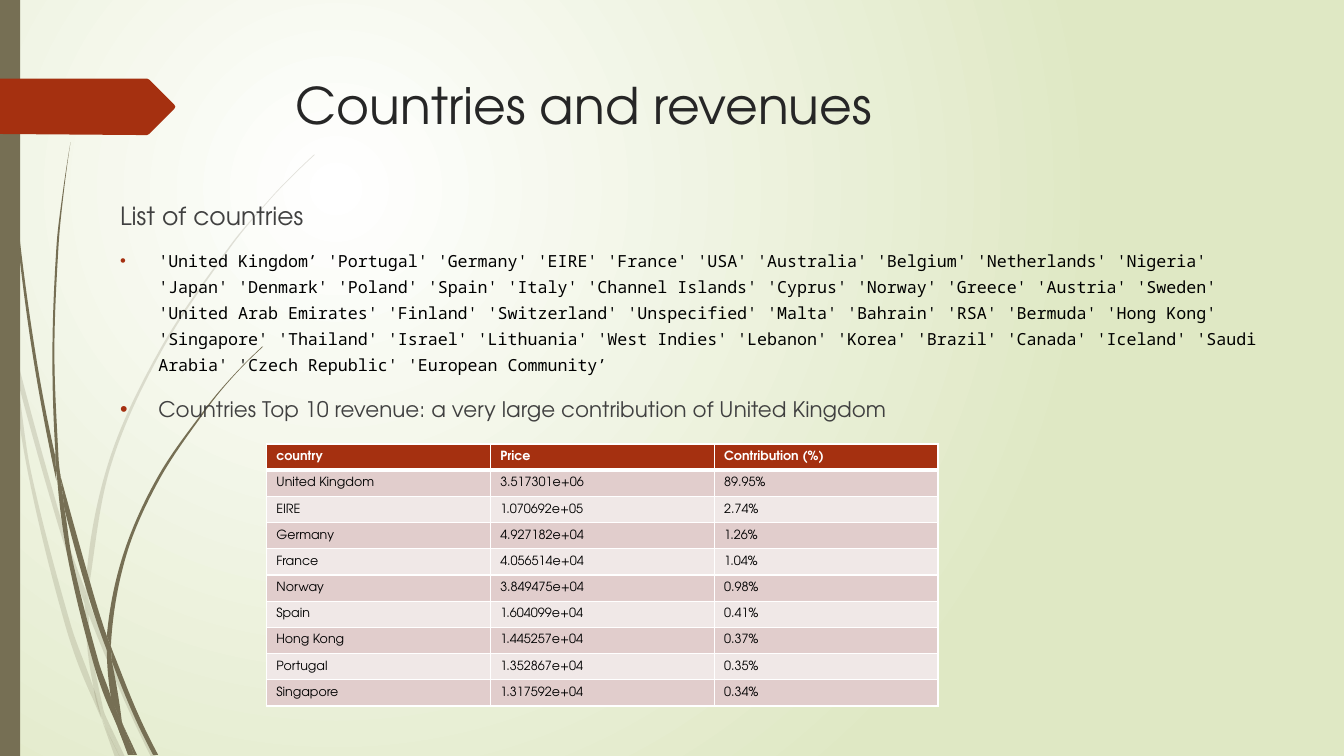
import math
import lxml.etree
import pptx
import pptx.dml.color
import pptx.enum.shapes
import pptx.enum.text
import pptx.oxml.ns
import pptx.util

# Content
TITLE = "Countries and revenues"
LIST_HEADING = "List of countries"
COUNTRIES = (
    "'United Kingdom’ 'Portugal' 'Germany' 'EIRE' 'France' 'USA' 'Australia' 'Belgium' "
    "'Netherlands' 'Nigeria' 'Japan' 'Denmark' 'Poland' 'Spain' 'Italy' 'Channel Islands' "
    "'Cyprus' 'Norway' 'Greece' 'Austria' 'Sweden' 'United Arab Emirates' 'Finland' "
    "'Switzerland' 'Unspecified' 'Malta' 'Bahrain' 'RSA' 'Bermuda' 'Hong Kong' 'Singapore' "
    "'Thailand' 'Israel' 'Lithuania' 'West Indies' 'Lebanon' 'Korea' 'Brazil' 'Canada' "
    "'Iceland' 'Saudi Arabia' 'Czech Republic' 'European Community’"
)
REVENUE_HEADING = "Countries Top 10 revenue: a very large contribution of United Kingdom"
REVENUES = [
    ("country", "Price", "Contribution (%)"),
    ("United Kingdom", "3.517301e+06", "89.95%"),
    ("EIRE", "1.070692e+05", "2.74%"),
    ("Germany", "4.927182e+04", "1.26%"),
    ("France", "4.056514e+04", "1.04%"),
    ("Norway", "3.849475e+04", "0.98%"),
    ("Spain", "1.604099e+04", "0.41%"),
    ("Hong Kong", "1.445257e+04", "0.37%"),
    ("Portugal", "1.352867e+04", "0.35%"),
    ("Singapore", "1.317592e+04", "0.34%"),
]

SANS, MONO = "TeX Gyre Adventor", "Noto Sans Mono"
WHITE, BLACK, RED, BROWN = "FFFFFF", "000000", "A53010", "766F54"
BANDS = ("F0E8E7", "E1CDCC")
# text, size, font, colour, bulleted
BODY = [
    (LIST_HEADING, 17.9, SANS, "404040", False),
    (COUNTRIES, 11.9, MONO, BLACK, True),
    (REVENUE_HEADING, 15.3, SANS, "404040", True),
]

# Grass blades: the two edges of each, in inches
PALE_BLADES = [
    ([(0.11, 3.5), (0.09, 3.22), (0, 2.82)], [(0, 2.99), (0.1, 3.44)]),
    ([(0.14, 3.45), (0.62, 5.2), (0.85, 5.86)], [(0.84, 5.99), (0.58, 5.22), (0.17, 3.76)]),
    ([(0.88, 5.96), (0.92, 6.07), (1.27, 6.92), (1.55, 7.51)],
     [(1.5, 7.51), (1.23, 6.94), (0.88, 6.1)]),
    ([(1.05, 7.11), (1.24, 7.51)], [(1.19, 7.51)]),
    ([(0.11, 3.5), (0.17, 3.76), (0.31, 4.69), (0.7, 6.19), (0.93, 6.83), (1.01, 7.14)],
     [(0.92, 6.93), (0.65, 6.21), (0.28, 4.7), (0.11, 3.5)]),
    ([(0.88, 6.1), (0.91, 6.46), (1.03, 7.06), (1.05, 7.11)],
     [(0.96, 6.92), (0.93, 6.83), (0.87, 6.46), (0.84, 5.99)]),
    ([(0.88, 5.96), (0.88, 5.84), (1.1, 4.62), (1.6, 3.49), (2.29, 2.45), (2.68, 1.98),
      (2.9, 1.75), (3.12, 1.54)],
     [(3.12, 1.53), (2.89, 1.75), (2.68, 1.97), (2.28, 2.44), (1.58, 3.48), (1.07, 4.61),
      (0.85, 5.84)]),
    ([(1.01, 7.14), (1.14, 7.51)], [(1.19, 7.51)]),
    ([(0.88, 6.1), (0.88, 5.96)], [(0.85, 5.86), (0.84, 5.99)]),
    ([(0.93, 6.83), (0.99, 7.07), (1.19, 7.51)], [(1.05, 7.11), (0.96, 6.92)]),
]
DARK_BLADES = [
    ([(0.03, 0), (0.04, 0.48), (0.07, 1.1), (0.17, 2.33), (0.33, 3.55), (0.56, 4.77)],
     [(0.55, 4.53), (0.36, 3.55), (0.19, 2.32), (0.08, 1.09), (0.05, 0.48), (0.04, 0)]),
    ([(0.64, 5.05), (0.88, 5.92), (1.06, 6.45)], [(1.06, 6.31), (0.93, 5.9), (0.6, 4.72)]),
    ([(1.1, 6.41), (1.13, 6.49), (1.36, 7.06), (1.57, 7.49)],
     [(1.52, 7.49), (1.32, 7.08), (1.11, 6.56)]),
    ([(0.57, 4.77), (0.64, 5.05), (0.72, 5.56), (0.98, 6.57), (1.1, 6.91), (1.17, 7.22)],
     [(1.11, 7.08), (0.93, 6.59), (0.68, 5.57), (0.57, 4.77)]),
    ([(0.6, 4.72), (0.58, 4.53), (0.54, 3.49), (0.58, 2.45), (0.63, 1.93), (0.7, 1.41)],
     [(0.7, 1.41), (0.62, 1.93), (0.56, 2.45), (0.52, 3.49), (0.55, 4.49), (0.6, 4.72)]),
    ([(1.22, 7.19), (1.33, 7.49)], [(1.36, 7.49)]),
    ([(0.55, 4.49), (0.57, 4.77), (0.64, 5.05)], [(0.6, 4.72)]),
    ([(1.1, 6.41), (1.25, 5.52), (1.58, 4.76), (2.05, 4.06), (2.31, 3.74), (2.61, 3.44)],
     [(2.6, 3.44), (2.31, 3.73), (2.04, 4.05), (1.56, 4.74), (1.22, 5.51), (1.06, 6.31)]),
    ([(1.17, 7.22), (1.27, 7.49)], [(1.31, 7.49)]),
    ([(1.06, 6.45), (1.1, 6.91), (1.16, 7.06), (1.22, 7.19)],
     [(1.21, 7.16), (1.11, 6.56), (1.06, 6.45)]),
    ([(1.06, 6.31), (1.06, 6.45)], [(1.11, 6.56), (1.1, 6.41)]),
    ([(1.1, 6.91), (1.17, 7.22), (1.3, 7.49)], [(1.33, 7.49), (1.22, 7.19), (1.16, 7.06)]),
]
TITLE_ARROW = [(0, 0.78), (1.46, 0.78), (1.48, 0.79), (1.73, 1.04), (1.74, 1.06),
               (1.73, 1.08), (1.48, 1.33), (1.46, 1.34), (1.36, 1.34), (0, 1.33)]

Cm, Pt, qn = pptx.util.Cm, pptx.util.Pt, pptx.oxml.ns.qn


def color(value):
    return pptx.dml.color.RGBColor.from_string(value)


def child(parent, tag, **attributes):
    return lxml.etree.SubElement(parent, qn(tag), attributes)


def paint(shape, fill):
    shape.shadow.inherit = False
    shape.fill.solid()
    shape.fill.fore_color.rgb = color(fill)
    shape.line.fill.background()


def curve_handles(anchors):
    """Two Bezier handles for each span of a smooth curve through the anchors."""
    spans = [math.dist(a, b) for a, b in zip(anchors, anchors[1:])]
    if len(spans) < 2:
        return [None] * len(spans)
    chords = [[(b - a) / span for a, b in zip(start, end)]
              for start, end, span in zip(anchors, anchors[1:], spans)]
    tangents = [[(a * m + b * n) / (m + n) for a, b in zip(first, second)]
                for first, second, m, n in zip(chords, chords[1:], spans, spans[1:])]
    head = [2 * a - b for a, b in zip(chords[0], tangents[0])]
    tail = [2 * a - b for a, b in zip(chords[-1], tangents[-1])]
    tangents = [head, *tangents, tail]
    return [([a + m * span / 3 for a, m in zip(anchors[i], tangents[i])],
             [b - n * span / 3 for b, n in zip(anchors[i + 1], tangents[i + 1])])
            for i, span in enumerate(spans)]


def add_outline(shapes, points, fill):
    points = [(Cm(x * 2.54), Cm(y * 2.54)) for x, y in points]
    builder = shapes.build_freeform(*points[0])
    builder.add_line_segments(points[1:], close=True)
    shape = builder.convert_to_shape()
    paint(shape, fill)
    return shape


def add_blade(shapes, first_edge, second_edge, opacity):
    shape = add_outline(shapes, first_edge + second_edge, BROWN)
    if opacity < 100:
        child(shape.element.spPr.find(".//" + qn("a:srgbClr")), "a:alpha", val=str(opacity * 1000))
    left = min(x for x, _ in first_edge + second_edge)
    top = min(y for _, y in first_edge + second_edge)
    handles = curve_handles(first_edge) + [None] + curve_handles(second_edge)
    for line, pair in zip(shape.element.findall(".//" + qn("a:lnTo")), handles):
        if pair:
            curve = lxml.etree.Element(qn("a:cubicBezTo"))
            for x, y in pair:
                child(curve, "a:pt", x=str(Cm((x - left) * 2.54)), y=str(Cm((y - top) * 2.54)))
            curve.append(line[0])
            line.getparent().replace(line, curve)


def format_run(paragraph, size, font, fill, bold=False):
    for run in paragraph.runs:
        run.font.size, run.font.name, run.font.bold = Pt(size), font, bold
        run.font.color.rgb = color(fill)


def add_text_frame(slide, left, top, width, height):
    frame = slide.shapes.add_textbox(Cm(left), Cm(top), Cm(width), Cm(height)).text_frame
    frame.word_wrap = True
    return frame


presentation = pptx.Presentation()
presentation.slide_width, presentation.slide_height = Cm(33.87), Cm(19.05)
slide = presentation.slides.add_slide(presentation.slide_layouts[6])

# Radial background
background = slide.background.fill
background.gradient()
for stop, value in zip(background.gradient_stops, (WHITE, "DFE8C4")):
    stop.color.rgb = color(value)
gradient = slide.element.find(".//" + qn("a:gradFill"))
gradient.remove(gradient.find(qn("a:lin")))
circle = child(gradient, "a:path", path="circle")
child(circle, "a:fillToRect", l="50000", t="50000", r="100000", b="100000")

# Grass, side bar and title arrow
for blades, opacity in ((PALE_BLADES, 20), (DARK_BLADES, 100)):
    group = slide.shapes.add_group_shape()
    for first_edge, second_edge in blades:
        add_blade(group.shapes, first_edge, second_edge, opacity)
side_bar = slide.shapes.add_shape(
    pptx.enum.shapes.MSO_SHAPE.RECTANGLE, 0, 0, Cm(0.51), presentation.slide_height)
paint(side_bar, BROWN)
add_outline(slide.shapes, TITLE_ARROW, RED)

# Title and body
title_frame = add_text_frame(slide, 7.21, 1.75, 24.77, 3.56)
title_frame.text = TITLE
format_run(title_frame.paragraphs[0], 36, SANS, "262626")

body_frame = add_text_frame(slide, 2.78, 4.7, 29.85, 5.74)
body_frame.text = "\n".join(item[0] for item in BODY)
for paragraph, (_, size, font, fill, bulleted) in zip(body_frame.paragraphs, BODY):
    format_run(paragraph, size, font, fill)
    paragraph.line_spacing, paragraph.space_before = 1.3, Pt(10)
    if bulleted:
        properties = paragraph._p.get_or_add_pPr()
        properties.set("marL", str(Cm(0.96)))
        properties.set("indent", str(-Cm(0.96)))
        child(child(properties, "a:buClr"), "a:srgbClr", val=RED)
        child(properties, "a:buFont", typeface="Arial")
        child(properties, "a:buChar", char="•")

# Revenue table
table = slide.shapes.add_table(
    len(REVENUES), 3, Cm(6.71), Cm(11.19), Cm(16.93), Cm(6.6)).table
for row_index, values in enumerate(REVENUES):
    header = row_index == 0
    for column_index, value in enumerate(values):
        cell = table.cell(row_index, column_index)
        cell.text = value
        cell.vertical_anchor = pptx.enum.text.MSO_ANCHOR.MIDDLE
        format_run(cell.text_frame.paragraphs[0], 9, SANS, WHITE if header else BLACK, header)
        for side in "LRTB":
            thick = (side, row_index) in (("B", 0), ("T", 1))
            border = child(cell._tc.get_or_add_tcPr(), "a:ln" + side, w=str(Pt(3 if thick else 1)))
            child(child(border, "a:solidFill"), "a:srgbClr", val=WHITE)
        cell.fill.solid()
        cell.fill.fore_color.rgb = color(RED if header else BANDS[row_index % 2])

presentation.save("out.pptx")
